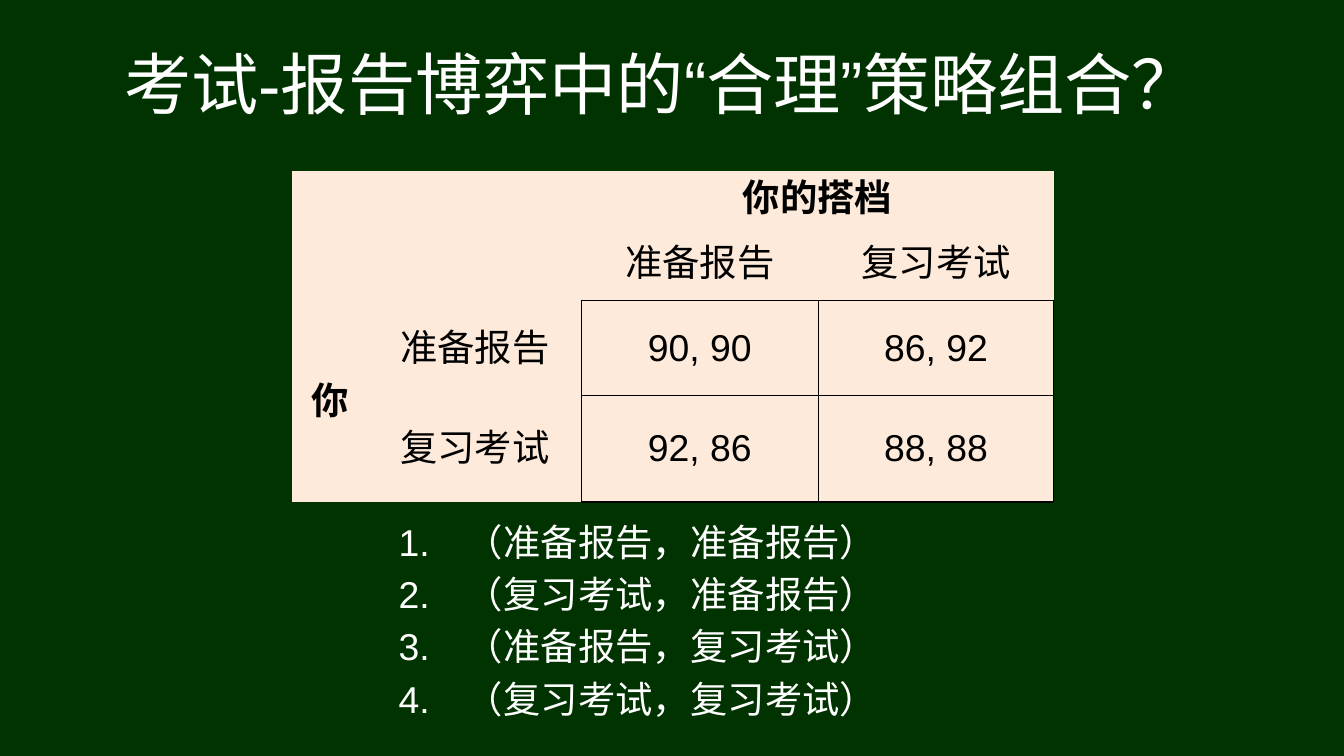
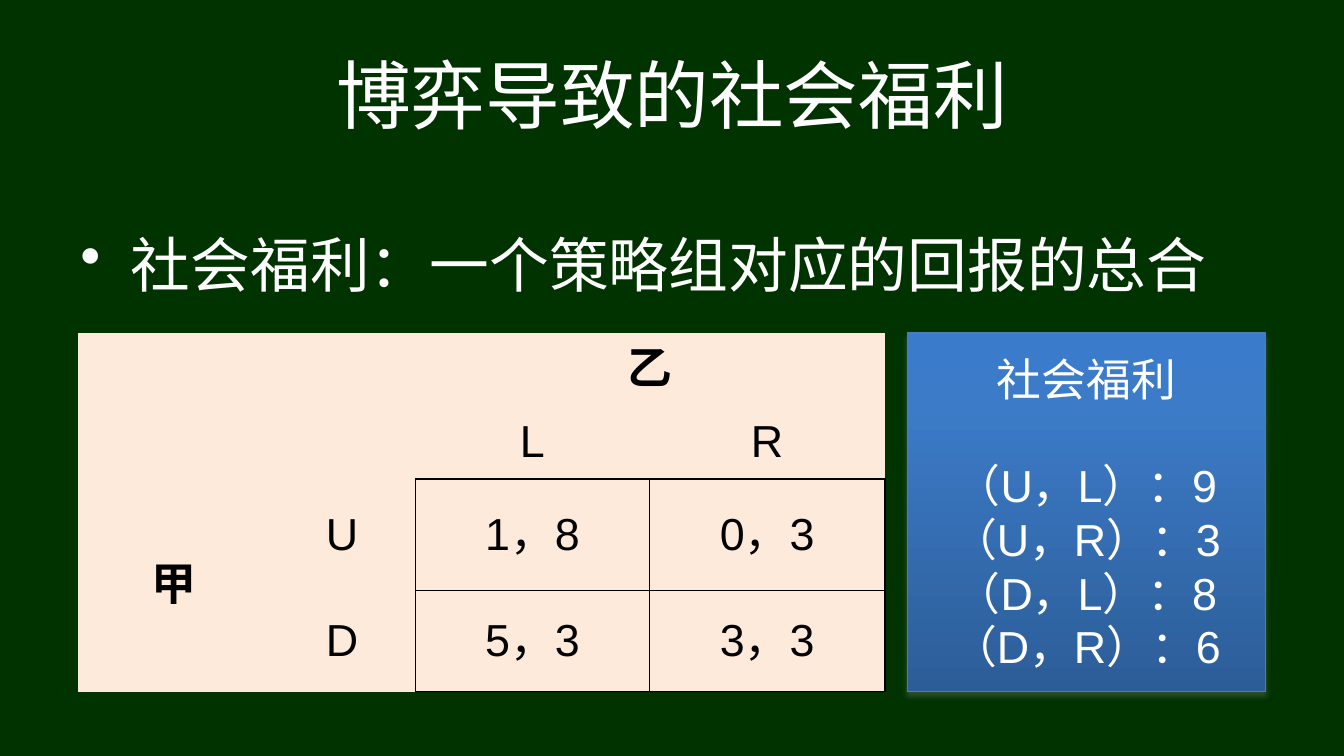
"""Build two slides on payoff matrices and social welfare in games."""
from pptx import Presentation
from pptx.dml.color import RGBColor
from pptx.enum.shapes import MSO_SHAPE
from pptx.enum.text import MSO_ANCHOR, PP_ALIGN
from pptx.oxml import parse_xml
from pptx.oxml.ns import nsdecls, qn
from pptx.util import Pt

BACKGROUND, CREAM, WHITE, BLACK = "003300", "FDEADA", "FFFFFF", "000000"
FONT = "Arial"
NO_STYLE = "{2D5ABB26-0587-4C30-8999-92F81FD0307C}"


def color(value):
    return RGBColor.from_string(value)


def write(frame, lines, size, ink=WHITE, align=PP_ALIGN.CENTER, bold=False):
    frame.word_wrap = True
    frame.text = "\n".join(lines)
    for paragraph in frame.paragraphs:
        paragraph.alignment = align
        for run in paragraph.runs:
            run.font.name = FONT
            run.font.size = Pt(size)
            run.font.bold = bold
            run.font.color.rgb = color(ink)
            properties = run._r.get_or_add_rPr()
            properties.append(parse_xml(f'<a:ea {nsdecls("a")} typeface="{FONT}"/>'))


pages = [
    {
        "title": "考试-报告博弈中的“合理”策略组合？",
        "title_box": (25, 16.5, 659, 55.5),
        "title_size": 36,
        "body": ["（准备报告，准备报告）", "（复习考试，准备报告）",
                 "（准备报告，复习考试）", "（复习考试，复习考试）"],
        "body_box": (206.5, 274.5, 306, 124.5),
        "body_size": 20,
        "indent": 36,
        "bullet": '<a:buAutoNum {} type="arabicPeriod"/>',
        "table_box": (156.5, 91.5, 408, 177),
        "columns": [41, 114, 127, 126],
        "rows": [29, 39.5, 51, 57],
        "cell_size": 20,
        "cell_margin": 3,
        "matrix": [["", "", "你的搭档", ""],
                   ["", "", "准备报告", "复习考试"],
                   ["你", "准备报告", "90, 90", "86, 92"],
                   ["", "复习考试", "92, 86", "88, 88"]],
    },
    {
        "title": "博弈导致的社会福利",
        "title_box": (36, 16.5, 648, 67.5),
        "title_size": 40,
        "body": ["社会福利：一个策略组对应的回报的总合"],
        "body_box": (36, 118.5, 648, 48.5),
        "body_size": 32,
        "indent": 27,
        "bullet": '<a:buChar {} char="•"/>',
        "table_box": (42, 178.5, 432, 192),
        "columns": [102, 78.5, 125.5, 126],
        "rows": [38.5, 39.5, 60, 54],
        "cell_size": 24,
        "cell_margin": 3.6,
        "matrix": [["", "", "乙", ""],
                   ["", "", "L", "R"],
                   ["甲", "U", "1，8", "0，3"],
                   ["", "D", "5，3", "3，3"]],
    },
]

presentation = Presentation()
presentation.slide_width, presentation.slide_height = Pt(720), Pt(405)

for page in pages:
    slide = presentation.slides.add_slide(presentation.slide_layouts[6])
    slide.background.fill.solid()
    slide.background.fill.fore_color.rgb = color(BACKGROUND)

    title = slide.shapes.add_textbox(*map(Pt, page["title_box"]))
    title.text_frame.vertical_anchor = MSO_ANCHOR.MIDDLE
    write(title.text_frame, [page["title"]], page["title_size"])

    body = slide.shapes.add_textbox(*map(Pt, page["body_box"]))
    write(body.text_frame, page["body"], page["body_size"], align=PP_ALIGN.LEFT)
    for paragraph in body.text_frame.paragraphs:
        paragraph.space_before = Pt(page["body_size"] * 0.2)
        properties = paragraph._p.get_or_add_pPr()
        properties.set("marL", str(Pt(page["indent"])))
        properties.set("indent", str(-Pt(page["indent"])))
        properties.append(parse_xml(page["bullet"].format(nsdecls("a"))))

    table = slide.shapes.add_table(4, 4, *map(Pt, page["table_box"])).table
    table.first_row = table.horz_banding = False
    table._tbl.tblPr.find(qn("a:tableStyleId")).text = NO_STYLE
    for column, width in zip(table.columns, page["columns"]):
        column.width = Pt(width)
    for row, height in zip(table.rows, page["rows"]):
        row.height = Pt(height)
    table.cell(0, 2).merge(table.cell(0, 3))
    table.cell(2, 0).merge(table.cell(3, 0))

    for row_index, texts in enumerate(page["matrix"]):
        for column_index, text in enumerate(texts):
            cell = table.cell(row_index, column_index)
            cell.fill.solid()
            cell.fill.fore_color.rgb = color(CREAM)
            cell.vertical_anchor = MSO_ANCHOR.MIDDLE
            cell.margin_top = cell.margin_bottom = Pt(page["cell_margin"])
            if text:
                heading = row_index == 0 or column_index == 0
                write(cell.text_frame, [text], page["cell_size"], BLACK, bold=heading)
            sides = ""
            if row_index >= 2 and column_index >= 2:
                sides = "LRTB"
            elif row_index >= 2 and column_index == 1:
                sides = "R"
            elif row_index == 1 and column_index >= 2:
                sides = "B"
            for position, side in enumerate(sides):
                cell._tc.get_or_add_tcPr().insert(position, parse_xml(
                    f'<a:ln{side} {nsdecls("a")} w="{Pt(1)}"><a:solidFill>'
                    f'<a:srgbClr val="{BLACK}"/></a:solidFill></a:ln{side}>'))

welfare = slide.shapes.add_shape(MSO_SHAPE.RECTANGLE, Pt(486), Pt(178.5), Pt(192), Pt(192))
welfare.line.color.rgb = color("4A7EBB")
welfare.line.width = Pt(0.75)
stops = "".join(
    f'<a:gs pos="{percent * 1000}"><a:srgbClr val="{value}"/></a:gs>'
    for percent, value in [(0, "3A7CCB"), (20, "3C7BC7"), (100, "2C5D98")])
welfare._element.spPr.insert(2, parse_xml(
    f'<a:gradFill {nsdecls("a")} rotWithShape="1"><a:gsLst>{stops}</a:gsLst>'
    '<a:lin ang="5400000" scaled="0"/></a:gradFill>'))
welfare.shadow.inherit = False
welfare._element.spPr.find(qn("a:effectLst")).append(parse_xml(
    f'<a:outerShdw {nsdecls("a")} blurRad="{Pt(3.1)}" dist="{Pt(1.8)}" dir="5400000" '
    'rotWithShape="0"><a:srgbClr val="808080"><a:alpha val="35000"/></a:srgbClr></a:outerShdw>'))
welfare.text_frame.vertical_anchor = MSO_ANCHOR.MIDDLE
write(welfare.text_frame,
      ["社会福利", "（U，L）：9", "（U，R）：3", "（D，L）：8", "（D，R）：6"], 24)
welfare.text_frame.paragraphs[0].space_after = Pt(28)

presentation.save("out.pptx")
